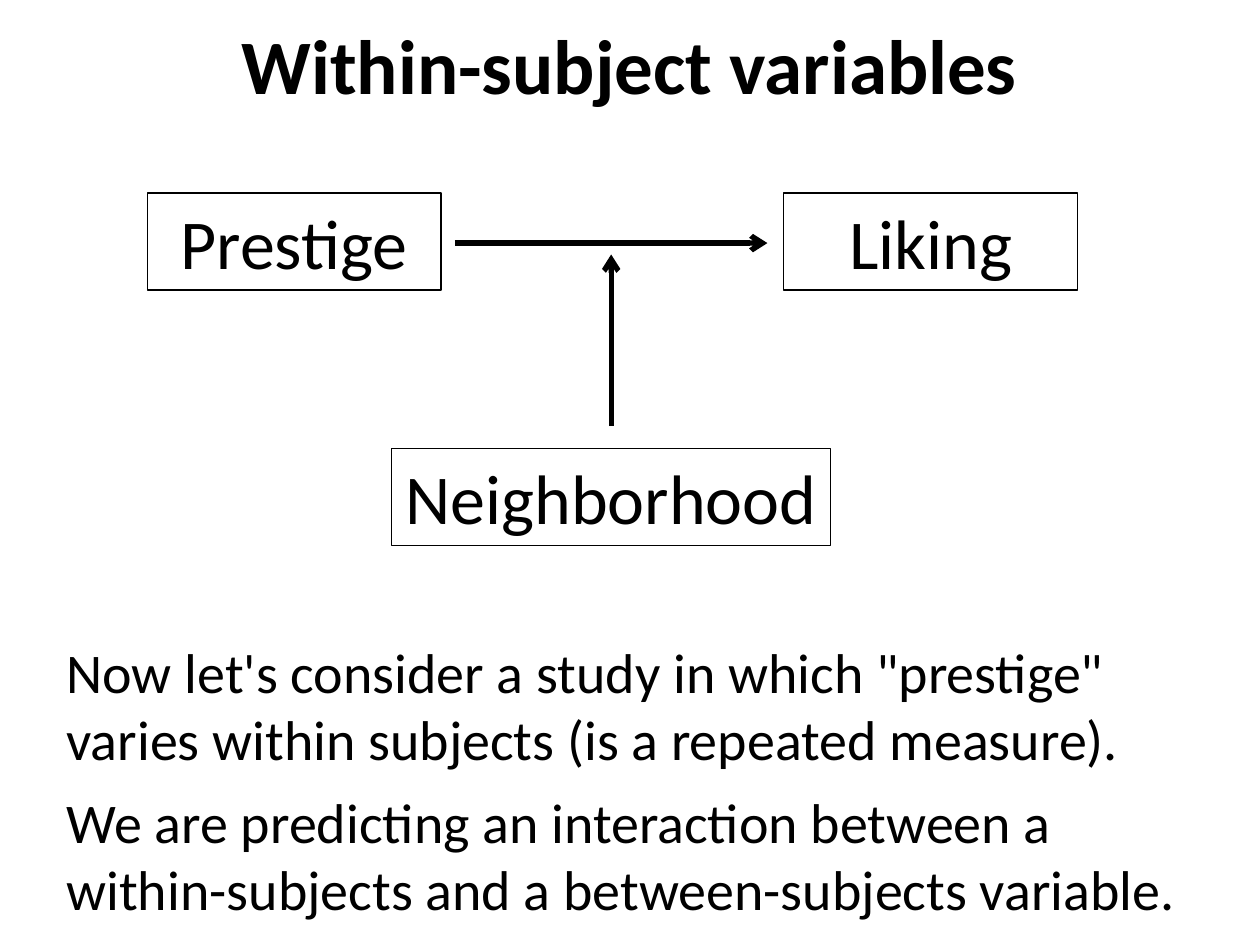
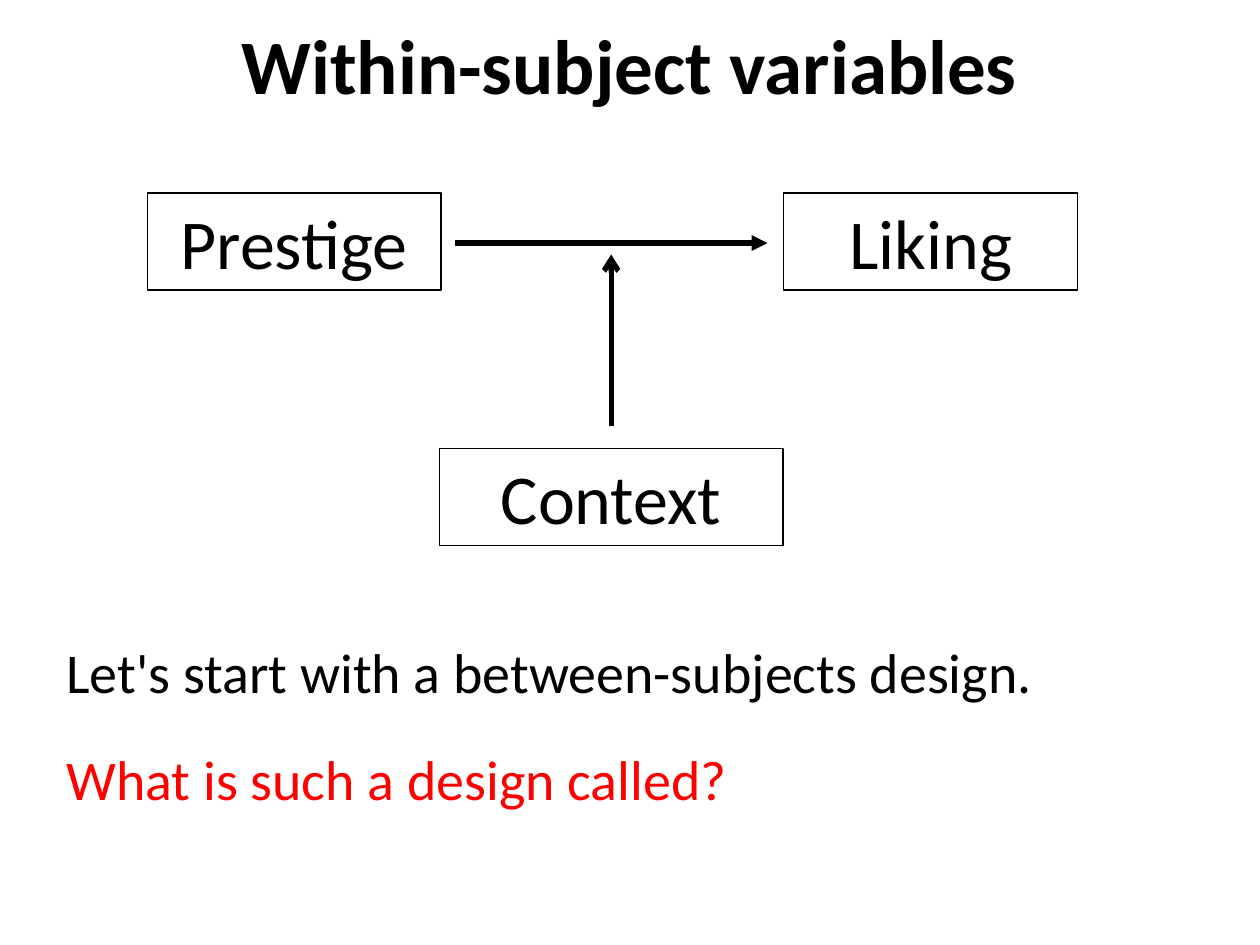
from dataclasses import dataclass

from lxml import etree
from pptx import Presentation
from pptx.dml.color import RGBColor
from pptx.enum import shapes, text
from pptx.oxml.ns import qn
from pptx.util import Cm, Pt


@dataclass(frozen=True)
class Theme:
    font: str = "Calibri"
    ink: RGBColor = RGBColor(0, 0, 0)
    question: RGBColor = RGBColor(255, 0, 0)
    title_size: Pt = Pt(44)
    variable_size: Pt = Pt(40)
    note_size: Pt = Pt(32)
    outline: Pt = Pt(0.75)
    arrow: Pt = Pt(3)


THEME = Theme()

# Diagram geometry in centimetres
VARIABLE_WIDTH, VARIABLE_HEIGHT = 5.92, 1.96
OUTER_TOP, MODERATOR_TOP = 3.89, 9.04
PRESTIGE_LEFT, LIKING_LEFT = 2.97, 15.8
EFFECT_Y, MODERATOR_X = 4.9, 12.32


def write(frame, words, size, color, align, bold=False):
    """Fill a text frame with one paragraph."""
    frame.word_wrap = True
    paragraph = frame.paragraphs[0]
    paragraph.text = words
    paragraph.alignment = align
    font = paragraph.font
    font.name, font.size, font.bold = THEME.font, size, bold
    font.color.rgb = color


def add_title(slide, words):
    title = slide.shapes.add_textbox(Cm(0), Cm(-0.05), Cm(25.4), Cm(2.69))
    title.text_frame.vertical_anchor = text.MSO_ANCHOR.MIDDLE
    write(title.text_frame, words, THEME.title_size, THEME.ink,
          text.PP_ALIGN.CENTER, bold=True)


def add_variable(slide, words, left, top, width=VARIABLE_WIDTH):
    variable = slide.shapes.add_shape(
        shapes.MSO_SHAPE.RECTANGLE, Cm(left), Cm(top), Cm(width), Cm(VARIABLE_HEIGHT))
    variable.shadow.inherit = False
    variable.fill.background()
    variable.line.color.rgb = THEME.ink
    variable.line.width = THEME.outline
    variable.text_frame.vertical_anchor = text.MSO_ANCHOR.TOP
    variable.text_frame.auto_size = text.MSO_AUTO_SIZE.SHAPE_TO_FIT_TEXT
    write(variable.text_frame, words, THEME.variable_size, THEME.ink,
          text.PP_ALIGN.CENTER)


def add_arrow(slide, start, end, head="arrow"):
    arrow = slide.shapes.add_connector(
        shapes.MSO_CONNECTOR.STRAIGHT, *map(Cm, start + end))
    arrow.line.color.rgb = THEME.ink
    arrow.line.width = THEME.arrow
    properties = arrow.element.spPr
    outline = properties.find(qn("a:ln"))
    etree.SubElement(outline, qn("a:tailEnd"), type=head)
    etree.SubElement(properties, qn("a:effectLst"))


def add_note(slide, words, top, height, color=THEME.ink):
    note = slide.shapes.add_textbox(Cm(1.09), Cm(top), Cm(23.7), Cm(height))
    note.text_frame.auto_size = text.MSO_AUTO_SIZE.SHAPE_TO_FIT_TEXT
    write(note.text_frame, words, THEME.note_size, color, text.PP_ALIGN.LEFT)


def add_moderation_slide(deck, moderator, moderator_width, effect_head="arrow"):
    """Title and diagram: the moderator acts on the effect of prestige on liking."""
    slide = deck.slides.add_slide(deck.slide_layouts[6])
    add_title(slide, "Within-subject variables")
    add_variable(slide, "Prestige", PRESTIGE_LEFT, OUTER_TOP)
    add_variable(slide, "Liking", LIKING_LEFT, OUTER_TOP)
    add_variable(slide, moderator, MODERATOR_X - moderator_width / 2,
                 MODERATOR_TOP, moderator_width)
    add_arrow(slide, (9.17, EFFECT_Y), (15.47, EFFECT_Y), effect_head)
    add_arrow(slide, (MODERATOR_X, 8.59), (MODERATOR_X, 5.13))
    return slide


def main():
    deck = Presentation()
    deck.slide_width, deck.slide_height = Cm(25.4), Cm(19.05)

    # Repeated measure
    within = add_moderation_slide(deck, "Neighborhood", 8.84)
    add_note(within, "Now let's consider a study in which \"prestige\" varies "
             "within subjects (is a repeated measure).", 12.73, 2.97)
    add_note(within, "We are predicting an interaction between a within-subjects "
             "and a between-subjects variable.", 15.75, 2.97)

    # Between-subjects design
    between = add_moderation_slide(deck, "Context", 6.93, effect_head="triangle")
    add_note(between, "Let's start with a between-subjects design.", 12.73, 1.63)
    add_note(between, "What is such a design called?", 14.88, 1.63, THEME.question)

    deck.save("out.pptx")


if __name__ == "__main__":
    main()
